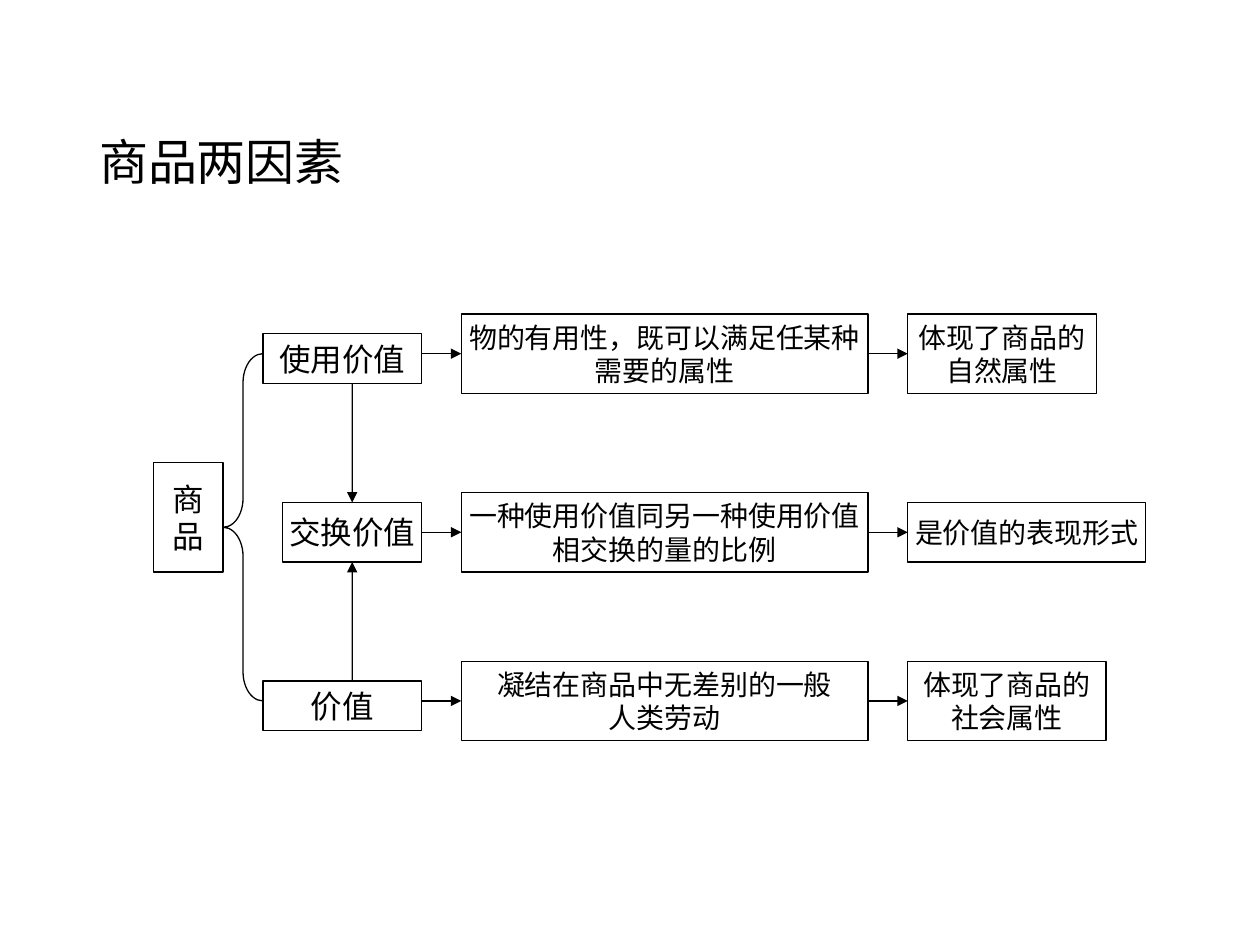
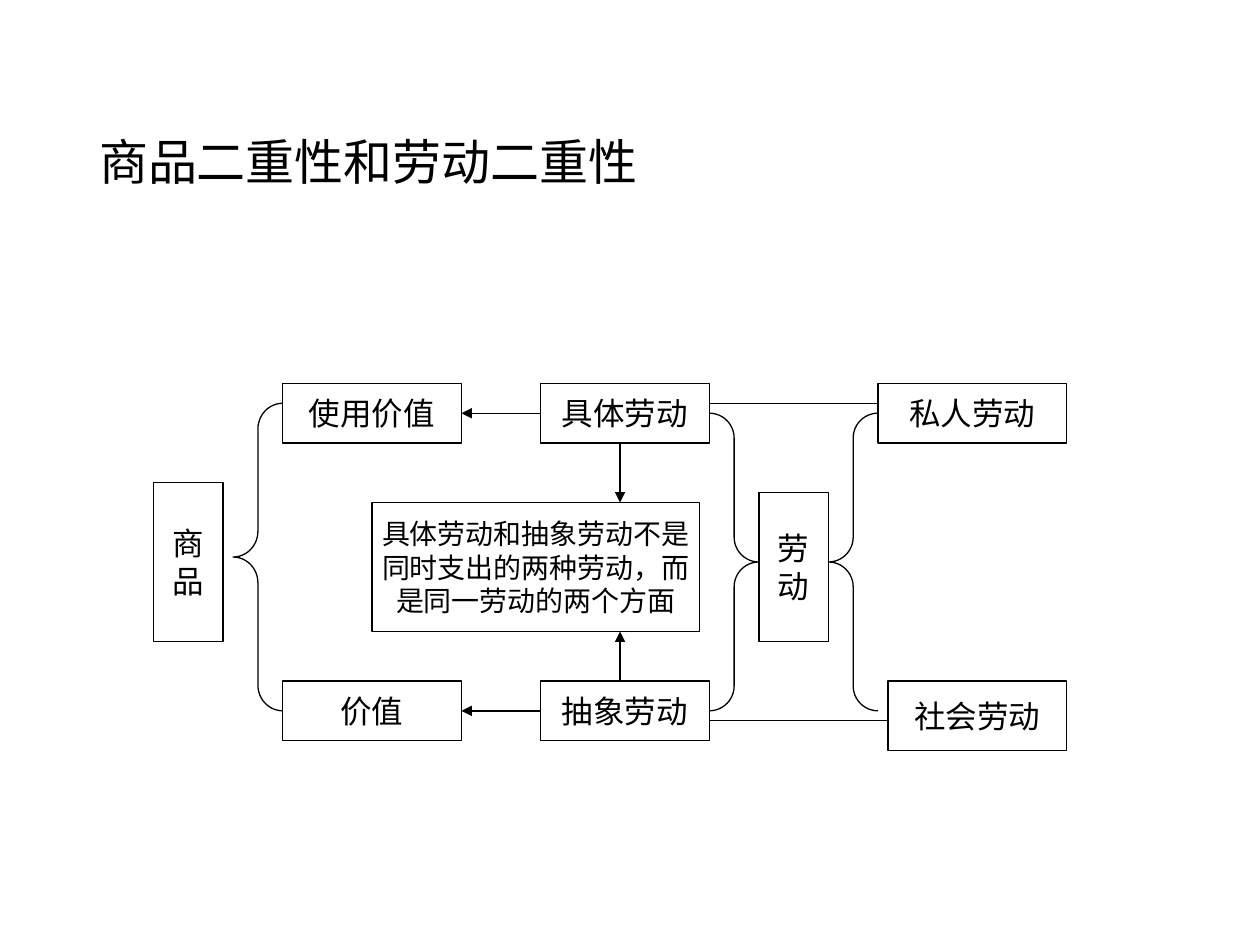
from lxml import etree
from pptx import Presentation
from pptx import util as u
from pptx.dml.color import RGBColor
from pptx.enum import shapes, text
from pptx.oxml.ns import qn

COLORS = {"ink": "000000", "paper": "FFFFFF"}
TITLE_FONT = EAST_ASIAN_FONT = "Noto Sans CJK SC"
BODY_FONT = "Times New Roman"
TERM_SIZE, DETAIL_SIZE = 18, 16
TOP, LEFT, BOTTOM, RIGHT = range(4)


def color(name):
    """Return the named colour of the palette."""
    return RGBColor.from_string(COLORS[name])


def write(paragraph, words, size, font):
    """Add one styled run to a paragraph."""
    run = paragraph.add_run()
    run.text = words
    run.font.size = u.Pt(size)
    run.font.color.rgb = color("ink")
    run.font.name = font
    etree.SubElement(run.font._element, qn("a:ea"), typeface=EAST_ASIAN_FONT)


def outline(item):
    """Give a shape or connector the thin dark line."""
    item.line.color.rgb = color("ink")
    item.line.width = u.Pt(0.75)


def add_titled_slide(deck, title):
    """Add a blank slide with the shared title style."""
    slide = deck.slides.add_slide(deck.slide_layouts[6])
    heading = slide.shapes.add_textbox(u.Cm(1.75), u.Cm(2.23), u.Cm(15.98), u.Cm(2.16))
    frame = heading.text_frame
    frame.word_wrap = True
    frame.vertical_anchor = text.MSO_ANCHOR.MIDDLE
    frame.paragraphs[0].line_spacing = 0.9
    write(frame.paragraphs[0], title, 28, TITLE_FONT)
    return slide


def add_box(slide, lines, left, top, width, height, size=TERM_SIZE):
    """Add an outlined box with one centred paragraph per line."""
    box = slide.shapes.add_shape(
        shapes.MSO_SHAPE.RECTANGLE, u.Cm(left), u.Cm(top), u.Cm(width), u.Cm(height))
    box.shadow.inherit = False
    box.fill.solid()
    box.fill.fore_color.rgb = color("paper")
    outline(box)
    frame = box.text_frame
    frame.word_wrap = False
    frame.vertical_anchor = text.MSO_ANCHOR.MIDDLE
    for index, words in enumerate(lines):
        paragraph = frame.add_paragraph() if index else frame.paragraphs[0]
        paragraph.alignment = text.PP_ALIGN.CENTER
        write(paragraph, words, size, BODY_FONT)
    return box


def add_brace(slide, left, top, width, height, curve, opens_left=False):
    """Add a curly brace whose point sits at mid-height."""
    kind = shapes.MSO_SHAPE.RIGHT_BRACE if opens_left else shapes.MSO_SHAPE.LEFT_BRACE
    brace = slide.shapes.add_shape(
        kind, u.Cm(left), u.Cm(top), u.Cm(width), u.Cm(height))
    brace.shadow.inherit = False
    brace.fill.background()
    outline(brace)
    brace.adjustments[0] = curve


def add_link(slide, start, end, begin_at=None, end_at=None, arrow=True):
    """Draw a straight link, joined to (box, side) where one is given."""
    link = slide.shapes.add_connector(
        shapes.MSO_CONNECTOR.STRAIGHT, *(u.Cm(value) for value in (*start, *end)))
    outline(link)
    if begin_at:
        link.begin_connect(*begin_at)
    if end_at:
        link.end_connect(*end_at)
    if arrow:
        etree.SubElement(link.line._get_or_add_ln(), qn("a:tailEnd"), type="triangle")
    etree.SubElement(link._element.spPr, qn("a:effectLst"))


def build_two_factors(deck):
    """Build the slide on the two factors of a commodity."""
    slide = add_titled_slide(deck, "商品两因素")
    use_y, exchange_y, value_y = 7.13, 10.73, 14.13
    term_right, definition_left, definition_right, meaning_left = 8.5, 9.3, 17.5, 18.3
    exchange_x = 7.1
    add_box(slide, ["商", "品"], 3.1, 9.33, 1.4, 2.2)
    add_brace(slide, 4.5, use_y, 0.8, value_y - use_y, 0.73)

    rows = [
        ("使用价值", use_y, 3.2, 1.0, 0.4, ["物的有用性，既可以满足任某种", "需要的属性"],
         ["体现了商品的", "自然属性"], 3.8, 1.6),
        ("交换价值", exchange_y, 2.8, 1.2, 0.6, ["一种使用价值同另一种使用价值", "相交换的量的比例"],
         ["是价值的表现形式"], 4.8, 1.2),
        ("价值", value_y, 3.2, 1.0, 0.4, ["凝结在商品中无差别的一般", "人类劳动"],
         ["体现了商品的", "社会属性"], 4.0, 1.6),
    ]
    terms = {}
    for name, y, width, height, rise, definition, meaning, meaning_width, meaning_height in rows:
        term = add_box(slide, [name], term_right - width, y - rise, width, height)
        defined = add_box(slide, definition, definition_left, y - 0.8,
                          definition_right - definition_left, 1.6, DETAIL_SIZE)
        meant = add_box(slide, meaning, meaning_left, y - meaning_height / 2,
                        meaning_width, meaning_height, DETAIL_SIZE)
        centred = rise == height / 2
        add_link(slide, (term_right, y), (definition_left, y),
                 (term, RIGHT) if centred else None, (defined, LEFT))
        add_link(slide, (definition_right, y), (meaning_left, y),
                 (defined, RIGHT), (meant, LEFT))
        terms[name] = term

    exchange = terms["交换价值"]
    add_link(slide, (exchange_x, use_y + 0.6), (exchange_x, exchange_y - 0.6),
             end_at=(exchange, TOP))
    add_link(slide, (exchange_x, value_y - 0.4), (exchange_x, exchange_y + 0.6),
             end_at=(exchange, BOTTOM))


def build_dual_nature(deck):
    """Build the slide on the dual nature of commodities and labour."""
    slide = add_titled_slide(deck, "商品二重性和劳动二重性")
    upper, lower, height = 7.73, 13.73, 1.2
    span = lower - upper
    add_box(slide, ["商", "品"], 3.1, 9.73, 1.4, 3.2)
    add_brace(slide, 4.7, 8.13, 1, 6.2, 0.52)
    for top, factor, labour in ((upper, "使用价值", "具体劳动"), (lower, "价值", "抽象劳动")):
        factor_box = add_box(slide, [factor], 5.7, top, 3.6, height)
        labour_box = add_box(slide, [labour], 10.9, top, 3.4, height)
        middle = top + height / 2
        add_link(slide, (10.9, middle), (9.3, middle),
                 (labour_box, LEFT), (factor_box, RIGHT))

    add_box(slide, ["劳", "动"], 15.3, 9.93, 1.4, 3)
    add_brace(slide, 14.3, upper + height / 2, 1, span, 0.5, opens_left=True)
    add_brace(slide, 16.7, upper + height / 2, 1, span, 0.5)
    add_box(slide, ["私人劳动"], 17.7, upper, 3.8, height)
    add_box(slide, ["社会劳动"], 17.9, lower, 3.6, 1.4)
    for y, right in ((upper + 0.4, 17.7), (lower + 0.8, 17.9)):
        add_link(slide, (14.3, y), (right, y), arrow=False)

    note_top, note_height, note_x = 10.13, 2.6, 12.5
    add_box(slide, ["具体劳动和抽象劳动不是", "同时支出的两种劳动，而", "是同一劳动的两个方面"],
            7.5, note_top, 6.6, note_height, DETAIL_SIZE)
    add_link(slide, (note_x, upper + height), (note_x, note_top))
    add_link(slide, (note_x, lower), (note_x, note_top + note_height))


def main():
    """Build both slides and save the deck."""
    deck = Presentation()
    deck.slide_width, deck.slide_height = u.Cm(25.4), u.Cm(19.05)
    build_two_factors(deck)
    build_dual_nature(deck)
    deck.save("out.pptx")


if __name__ == "__main__":
    main()
